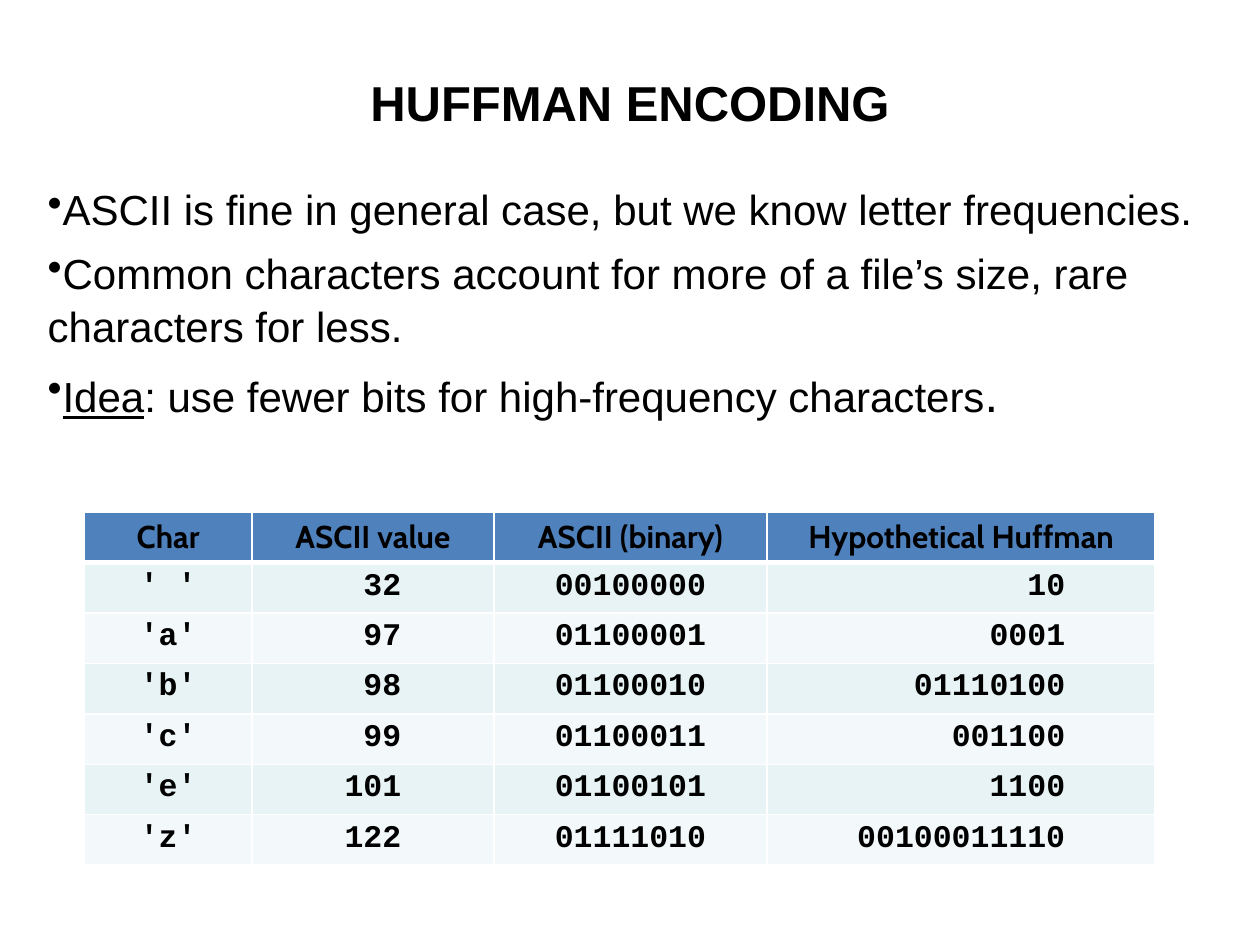
import pptx
import pptx.dml.color
import pptx.enum.text
import pptx.oxml
import pptx.oxml.ns
import pptx.util

Pt = pptx.util.Pt
ALIGN = pptx.enum.text.PP_ALIGN
ANCHOR = pptx.enum.text.MSO_ANCHOR

# Content
TITLE = "HUFFMAN ENCODING"
BODY = {"name": "Arial", "size": 24}
BULLETS = [
    [("ASCII is fine in general case, but we know letter frequencies.", {})],
    [("Common characters account for more of a file’s size, "
      "rare characters for less.", {})],
    [("Idea", {"underline": True}),
     (": use fewer bits for high-frequency characters", {}),
     (".", {"size": 28})],
]
HEADER = ("Char", "ASCII value", "ASCII (binary)", "Hypothetical Huffman")
CODES = [
    ("' '", "32", "00100000", "10"),
    ("'a'", "97", "01100001", "0001"),
    ("'b'", "98", "01100010", "01110100"),
    ("'c'", "99", "01100011", "001100"),
    ("'e'", "101", "01100101", "1100"),
    ("'z'", "122", "01111010", "00100011110"),
]

# Table format
COL_WIDTHS = (95.8, 138.2, 156.2, 221.8)
HEAD_HEIGHT, ROW_HEIGHT = 28.8, 27.6
RIGHT_COLS = (1, 3)
HEAD_FILL, BANDS = "4F81BD", ("E7F3F4", "F3F9FA")
HEAD_FONT = {"name": "Cabin", "size": 18, "bold": True}
CODE_FONT = {"name": "Courier New", "size": 18, "bold": True}
CHAR_WIDTH = 0.6 * CODE_FONT["size"]


def rgb(value):
    return pptx.dml.color.RGBColor.from_string(value)


def add_run(p, text, fmt):
    r = p.add_run()
    r.text = text
    r.font.color.rgb = rgb("000000")
    for key, value in fmt.items():
        setattr(r.font, key, Pt(value) if key == "size" else value)


def add_text_frame(s, left, top, width, height, anchor):
    tf = s.shapes.add_textbox(Pt(left), Pt(top), Pt(width), Pt(height)).text_frame
    tf.word_wrap = True
    tf.vertical_anchor = anchor
    return tf


def set_bullet(p):
    pPr = p._p.get_or_add_pPr()
    pPr.set("marL", "0")
    pPr.set("indent", str(Pt(-27.4)))
    pPr.append(pptx.oxml.parse_xml(
        f'<a:buChar {pptx.oxml.ns.nsdecls("a")} char="•"/>'))


def set_borders(cell, widths):
    tcPr = cell._tc.get_or_add_tcPr()
    for side, width in widths.items():
        tcPr.append(pptx.oxml.parse_xml(
            f'<a:ln{side} {pptx.oxml.ns.nsdecls("a")} w="{Pt(width)}">'
            '<a:solidFill><a:srgbClr val="FFFFFF"/></a:solidFill>'
            f'</a:ln{side}>'))


def add_code_table(s, left, top):
    rows = [HEADER] + CODES
    height = HEAD_HEIGHT + ROW_HEIGHT * len(CODES)
    table = s.shapes.add_table(len(rows), len(HEADER), Pt(left), Pt(top),
                               Pt(sum(COL_WIDTHS)), Pt(height)).table
    for col, width in zip(table.columns, COL_WIDTHS):
        col.width = Pt(width)
    for i, row in enumerate(rows):
        table.rows[i].height = Pt(ROW_HEIGHT if i else HEAD_HEIGHT)
        for j, text in enumerate(row):
            cell = table.cell(i, j)
            set_borders(cell, {"L": 1, "R": 1, "T": 3 if i == 1 else 1,
                               "B": 1 if i else 3})
            cell.fill.solid()
            cell.fill.fore_color.rgb = rgb(BANDS[(i - 1) % 2] if i else HEAD_FILL)
            p = cell.text_frame.paragraphs[0]
            p.alignment = ALIGN.CENTER
            if i and j in RIGHT_COLS:
                # Right-align digits so that the longest code is centred
                longest = max(len(code[j]) for code in CODES) * CHAR_WIDTH
                p.alignment = ALIGN.RIGHT
                cell.margin_right = Pt((COL_WIDTHS[j] - longest) / 2)
            add_run(p, text, CODE_FONT if i else HEAD_FONT)


prs = pptx.Presentation()
prs.slide_width, prs.slide_height = Pt(720), Pt(540)
s = prs.slides.add_slide(prs.slide_layouts[6])

# Title
p = add_text_frame(s, 36, 21.6, 648, 72.7, ANCHOR.MIDDLE).paragraphs[0]
p.alignment = ALIGN.CENTER
add_run(p, TITLE, {"name": "Arial", "size": 28, "bold": True})

# Bullets
tf = add_text_frame(s, 20.2, 100.1, 686.2, 203.8, ANCHOR.TOP)
for i, runs in enumerate(BULLETS):
    p = tf.add_paragraph() if i else tf.paragraphs[0]
    p.line_spacing = 1.05
    p.space_after = Pt(6)
    set_bullet(p)
    for text, fmt in runs:
        add_run(p, text, {**BODY, **fmt})

# Code table
add_code_table(s, 48.2, 292.6)

prs.save("out.pptx")
